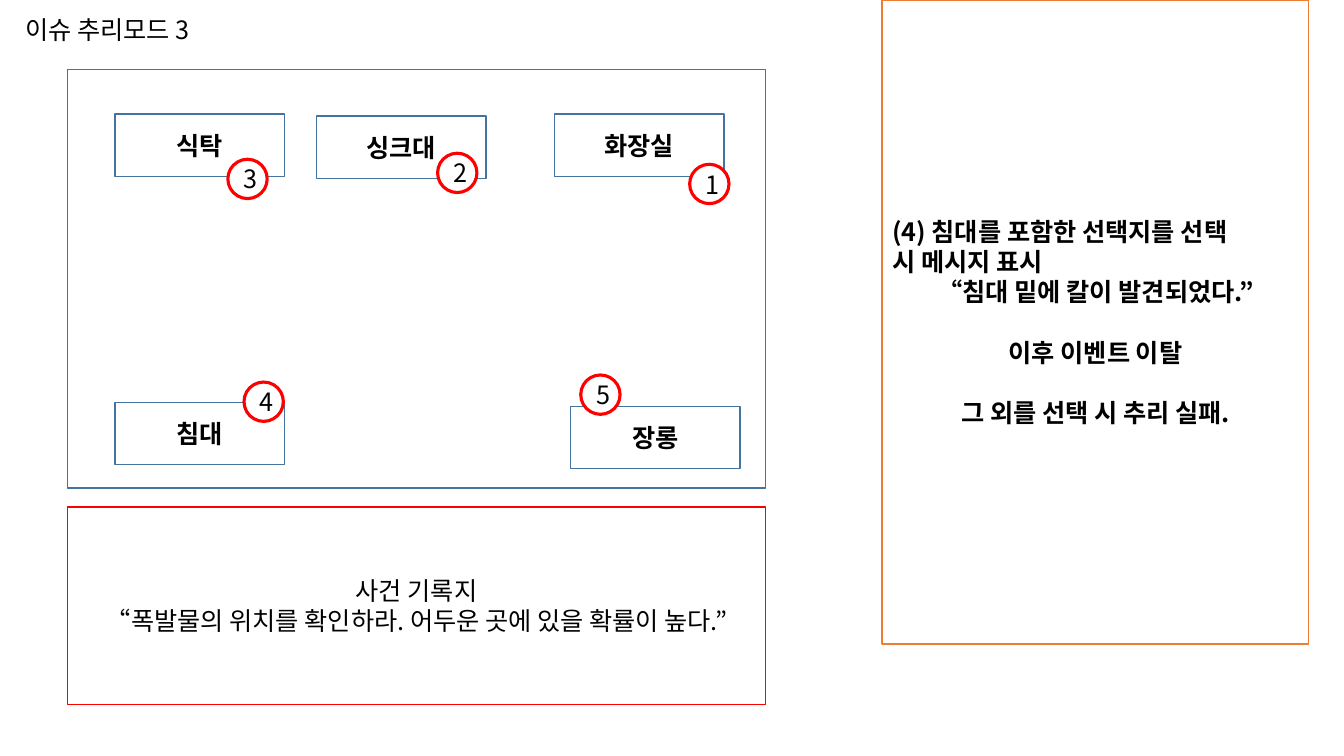
from dataclasses import dataclass

from pptx import Presentation, util as u
from pptx.dml.color import RGBColor
from pptx.enum import shapes, text
from pptx.oxml.ns import qn


@dataclass(frozen=True)
class Theme:
    font: str = "Noto Sans CJK KR"
    size: float = 18
    line_pitch: float = 21.6
    thin: float = 1
    thick: float = 2.25
    ink: str = "000000"
    paper: str = "FFFFFF"
    blue: str = "43739E"
    orange: str = "ED7D31"
    red: str = "FF0000"


LEFT, CENTER = text.PP_ALIGN.LEFT, text.PP_ALIGN.CENTER
RECT, OVAL = shapes.MSO_SHAPE.RECTANGLE, shapes.MSO_SHAPE.OVAL

ROOM_SIZE = (1.68, 0.62)
MARKER_SIZE = (0.39, 0.39)
# Room name, room corner, marker number, marker corner
ROOMS = [
    ("화장실", (5.5, 1.13), "1", (6.84, 1.63)),
    ("싱크대", (3.14, 1.15), "2", (4.34, 1.52)),
    ("식탁", (1.14, 1.13), "3", (2.26, 1.58)),
    ("침대", (1.14, 3.99), "4", (2.42, 3.79)),
    ("장롱", (5.66, 4.03), "5", (5.76, 3.72)),
]
# Line, alignment, blank lines above it
RULES = [
    ("(4) 침대를 포함한 선택지를 선택", LEFT, 0),
    ("시 메시지 표시", LEFT, 0),
    ("“침대 밑에 칼이 발견되었다.”", CENTER, 0),
    ("이후 이벤트 이탈", CENTER, 1),
    ("그 외를 선택 시 추리 실패.", CENTER, 1),
]
RECORD = [
    ("사건 기록지", CENTER, 0),
    ("“폭발물의 위치를 확인하라. 어두운 곳에 있을 확률이 높다.”", CENTER, 0),
]


def apply(target, **values):
    for name, value in values.items():
        setattr(target, name, value)


class Board:
    def __init__(self, page, theme):
        self.page, self.theme = page, theme

    def add_lines(self, box, lines, bold=False, anchor=text.MSO_ANCHOR.MIDDLE):
        """Fill a box with (line, alignment, blank lines above) entries."""
        theme, frame = self.theme, box.text_frame
        apply(frame, word_wrap=True, vertical_anchor=anchor)
        for index, (line, alignment, gap) in enumerate(lines):
            para = frame.add_paragraph() if index else frame.paragraphs[0]
            apply(para, alignment=alignment, line_spacing=u.Pt(theme.line_pitch),
                  space_before=u.Pt(gap * theme.line_pitch))
            span = para.add_run()
            span.text = line
            apply(span.font, name=theme.font, size=u.Pt(theme.size), bold=bold)
            span.font.color.rgb = RGBColor.from_string(theme.ink)
            east_asian = span.font._element.makeelement(
                qn("a:ea"), {"typeface": theme.font})
            span.font._element.append(east_asian)

    def shape(self, kind, corner, size, color, width, lines=(), bold=False):
        box = self.page.shapes.add_shape(kind, *map(u.Inches, corner + size))
        box.shadow.inherit = False
        box.fill.solid()
        box.fill.fore_color.rgb = RGBColor.from_string(self.theme.paper)
        box.line.color.rgb = RGBColor.from_string(color)
        box.line.width = u.Pt(width)
        self.add_lines(box, lines, bold)

    def panel(self, corner, size, color, lines=(), bold=False):
        self.shape(RECT, corner, size, color, self.theme.thin, lines, bold)

    def marker(self, corner, number):
        self.shape(OVAL, corner, MARKER_SIZE, self.theme.red, self.theme.thick,
                   [(number, CENTER, 0)])

    def title(self, corner, size, line):
        box = self.page.shapes.add_textbox(*map(u.Inches, corner + size))
        self.add_lines(box, [(line, LEFT, 0)], anchor=text.MSO_ANCHOR.TOP)


def main():
    deck = Presentation()
    apply(deck, slide_width=u.Inches(13.33), slide_height=u.Inches(7.5))
    theme = Theme()
    board = Board(deck.slides.add_slide(deck.slide_layouts[6]), theme)

    board.title((0.15, 0.09), (3.23, 0.4), "이슈 추리모드 3")
    board.panel((0.67, 0.69), (6.92, 4.15), theme.blue)
    board.panel((0.67, 5.03), (6.92, 1.96), theme.red, RECORD)
    board.panel((8.75, 0), (4.23, 6.39), theme.orange, RULES, bold=True)
    for name, room_corner, number, marker_corner in ROOMS:
        board.panel(room_corner, ROOM_SIZE, theme.blue, [(name, CENTER, 0)], bold=True)
        board.marker(marker_corner, number)
    deck.save("out.pptx")


if __name__ == "__main__":
    main()
